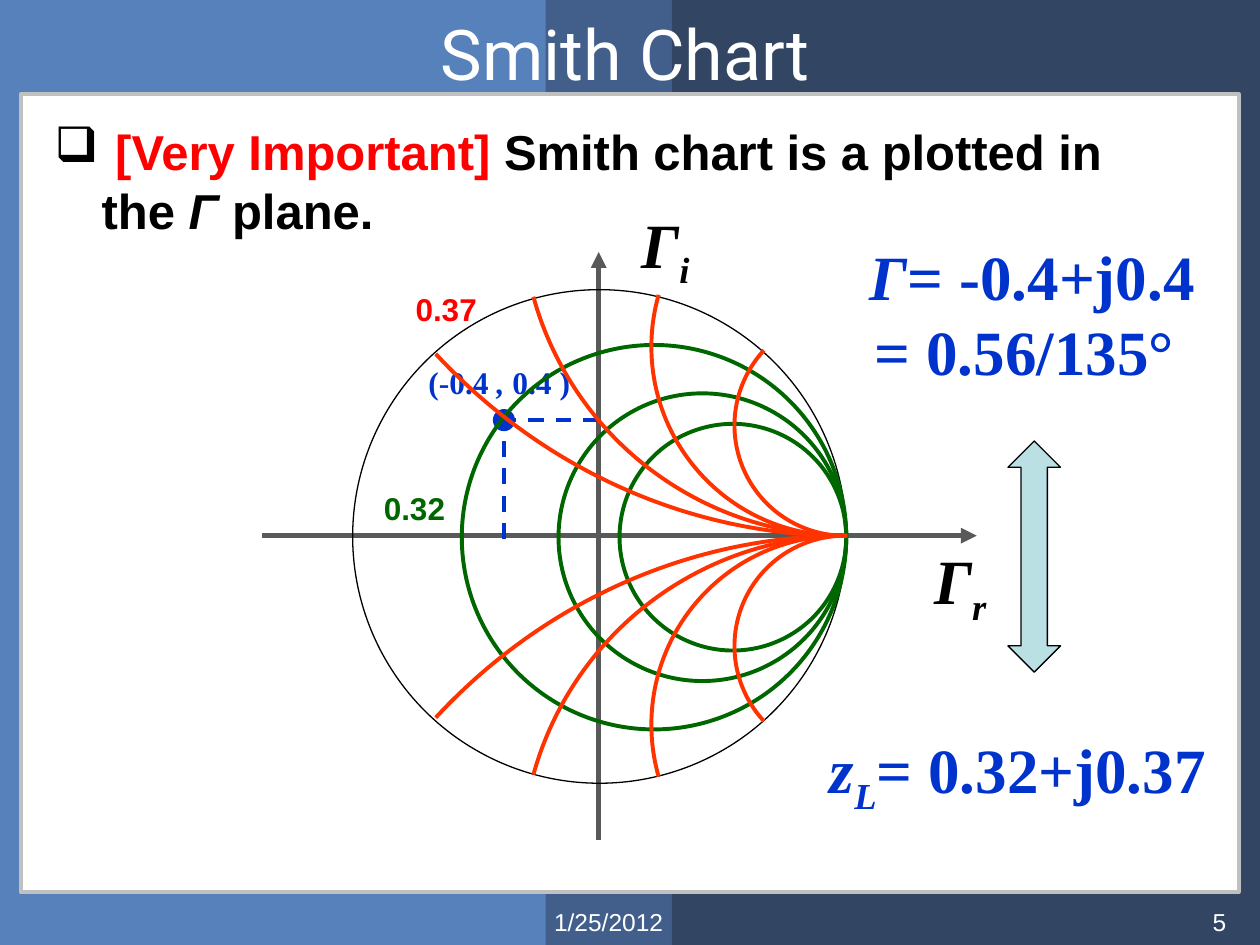
from dataclasses import dataclass

from lxml import etree
from pptx import Presentation
from pptx.dml.color import RGBColor as RGB
from pptx.enum.dml import MSO_LINE as Dash
from pptx.enum.shapes import MSO_CONNECTOR as Conn, MSO_SHAPE as Shape
from pptx.enum.text import MSO_ANCHOR as Anchor, PP_ALIGN as Align
from pptx.oxml.ns import qn
from pptx.util import Cm, Pt


@dataclass(frozen=True)
class Theme:
    white: str = "FFFFFF"
    black: str = "000000"
    band_light: str = "5781BB"
    band_mid: str = "415F8A"
    band_dark: str = "324664"
    border: str = "C0C0C0"
    axis: str = "595959"
    blue: str = "0033CC"
    green: str = "006600"
    red: str = "FF0000"
    orange: str = "FF3300"
    teal: str = "BBE0E3"
    title: int = 40
    formula: int = 36
    body: int = 28
    label: int = 18
    footer: int = 14
    head_font: str = "Roboto"
    sans: str = "Arial"
    serif: str = "Times New Roman"


class Deck:
    def __init__(self, prs, theme):
        self.t = theme
        self.s = prs.slides.add_slide(prs.slide_layouts[6])

    def group(self):
        return self.s.shapes.add_group_shape()

    def shape(self, kind, x, y, w, h, fill=None, line=None, width=0.75, parent=None):
        shapes = (parent or self.s).shapes
        sp = shapes.add_shape(kind, Cm(x), Cm(y), Cm(w), Cm(h))
        sp.shadow.inherit = False
        if fill:
            sp.fill.solid()
            sp.fill.fore_color.rgb = RGB.from_string(fill)
        else:
            sp.fill.background()
        if line:
            sp.line.color.rgb = RGB.from_string(line)
            sp.line.width = Pt(width)
        else:
            sp.line.fill.background()
        return sp

    def arc(self, cx, y, w, h, end, parent, mirrored=False):
        top = y if mirrored else y - h
        sp = self.shape(Shape.ARC, cx - w / 2, top, w, h,
                        line=self.t.orange, width=2.25, parent=parent)
        for i, degrees in enumerate((270, end)):
            sp.adjustments[i] = degrees * 0.6
        sp.rotation = 180
        if mirrored:
            sp._element.spPr.find(qn("a:xfrm")).set("flipV", "1")

    def line(self, x1, y1, x2, y2, color, width, arrow=False, dashed=False):
        cn = self.s.shapes.add_connector(Conn.STRAIGHT, Cm(x1), Cm(y1), Cm(x2), Cm(y2))
        cn.line.color.rgb = RGB.from_string(color)
        cn.line.width = Pt(width)
        if dashed:
            cn.line.dash_style = Dash.DASH
        if arrow:
            ln = cn._element.spPr.find(qn("a:ln"))
            etree.SubElement(ln, qn("a:tailEnd"), type="triangle")
        etree.SubElement(cn._element.spPr, qn("a:effectLst"))

    def text(self, x, y, w, h, paragraphs, size, color, font=None, bold=False,
             align=Align.CENTER, wrap=True, anchor=Anchor.TOP, bullet=None):
        tf = self.s.shapes.add_textbox(Cm(x), Cm(y), Cm(w), Cm(h)).text_frame
        tf.word_wrap = wrap
        tf.vertical_anchor = anchor
        for i, runs in enumerate(paragraphs):
            p = tf.add_paragraph() if i else tf.paragraphs[0]
            p.alignment = align
            if bullet:
                pPr = p._p.get_or_add_pPr()
                pPr.set("marL", str(Cm(0.95)))
                pPr.set("indent", str(-Cm(0.95)))
                etree.SubElement(pPr, qn("a:buChar"), char=bullet)
            for content, style, *own_color in runs:
                r = p.add_run()
                r.text = content
                r.font.name = font or self.t.sans
                r.font.size = Pt(size)
                r.font.bold = bold
                r.font.italic = "i" in style
                r.font.color.rgb = RGB.from_string(own_color[0] if own_color else color)
                if "sub" in style:
                    r._r.get_or_add_rPr().set("baseline", "-25000")

    def formula(self, x, y, w, h, paragraphs, color):
        self.text(x, y, w, h, paragraphs, self.t.formula, color,
                  self.t.serif, bold=True, wrap=False)


def frame(d):
    t = d.t
    for x, w, color in ((0, 16.31, t.band_light), (11, 2.54, t.band_mid),
                        (13.54, 11.86, t.band_dark)):
        d.shape(Shape.RECTANGLE, x, 0, w, 19.05, color)
    d.shape(Shape.RECTANGLE, 0.42, 1.9, 24.55, 16.09, t.white, t.border, 2.25)
    d.text(0.85, 0.21, 23.5, 1.69, [[("Smith Chart", "")]], t.title, t.white,
           t.head_font, anchor=Anchor.MIDDLE)
    d.text(0.85, 2.33, 23.2, 10.37,
           [[(" ", ""), ("[Very Important] ", "", t.red),
             ("Smith chart is a plotted in the ", ""), ("Γ", "i"), (" plane.", "")]],
           t.body, t.black, bold=True, align=Align.LEFT, bullet="❑")
    for x, w, content, align in ((10.92, 2.8, "1/25/2012", Align.LEFT),
                                 (19.05, 5.92, "5", Align.RIGHT)):
        d.text(x, 18.16, w, 0.89, [[(content, "")]], t.footer, t.white, align=align)


def chart(d):
    t = d.t
    axis_x, axis_y = 12.07, 10.8
    d.line(5.29, axis_y, 19.69, axis_y, t.axis, 3, arrow=True)
    d.line(axis_x, 16.93, axis_x, 5.08, t.axis, 3, arrow=True)
    d.shape(Shape.OVAL, 7.11, 5.84, 9.95, 9.95, line=t.black)
    for x, y, w, name in ((12.27, 4.01, 2.16, "i "), (18.16, 10.8, 2.26, "r ")):
        d.formula(x, y, w, 1.8, [[(" ", ""), ("Γ", "i"), (name, "i sub")]], t.black)

    d.shape(Shape.OVAL, 9.95, 8.26, 0.42, 0.42, t.blue, t.blue)
    d.line(10.16, 8.89, 10.16, 11, t.blue, 2.25, dashed=True)
    d.line(axis_x, 8.47, 10.37, 8.47, t.blue, 2.25, dashed=True)
    d.text(8.26, 7.2, 3.61, 1.02, [[("(-0.4 ", ""), (", ", "i"), ("0.4 )", "")]],
           t.label, t.blue, t.serif, bold=True)

    resistance = d.group()
    right, middle = 17.06, 10.83
    for size in (7.75, 5.8, 4.57):
        d.shape(Shape.OVAL, right - size, middle - size / 2, size, size,
                line=t.green, width=2.25, parent=resistance)

    reactance = d.group()
    for mirrored in (False, True):
        for cx, w, h, end in ((17.08, 13.13, 13.13, 344.56), (17.04, 23.07, 24.31, 314.21),
                              (16.94, 7.62, 7.62, 15.93), (17.03, 4.45, 4.45, 42.87)):
            d.arc(cx, axis_y, w, h, end, reactance, mirrored)

    for x, y, value, color in ((6.55, 9.73, "0.32", t.green), (7.19, 5.72, "0.37", t.red)):
        d.text(x, y, 3.61, 1.02, [[(value, "")]], t.label, color, bold=True)


def results(d):
    t = d.t
    d.formula(16.93, 4.66, 7.44, 3.32,
              [[(" ", ""), ("Γ", "i"), ("= -0.4+j0.4", "")], [("= 0.56/135°", "")]], t.blue)
    d.formula(16.08, 14.61, 8.56, 1.8,
              [[(" ", ""), ("z", "i"), ("L", "i sub"), ("= 0.32+j0.37", "")]], t.blue)
    d.shape(Shape.UP_DOWN_ARROW, 20.32, 8.89, 1.06, 4.66, t.teal, t.black)


def main():
    prs = Presentation()
    prs.slide_width, prs.slide_height = Cm(25.4), Cm(19.05)
    d = Deck(prs, Theme())
    frame(d)
    chart(d)
    results(d)
    prs.save("out.pptx")


if __name__ == "__main__":
    main()
